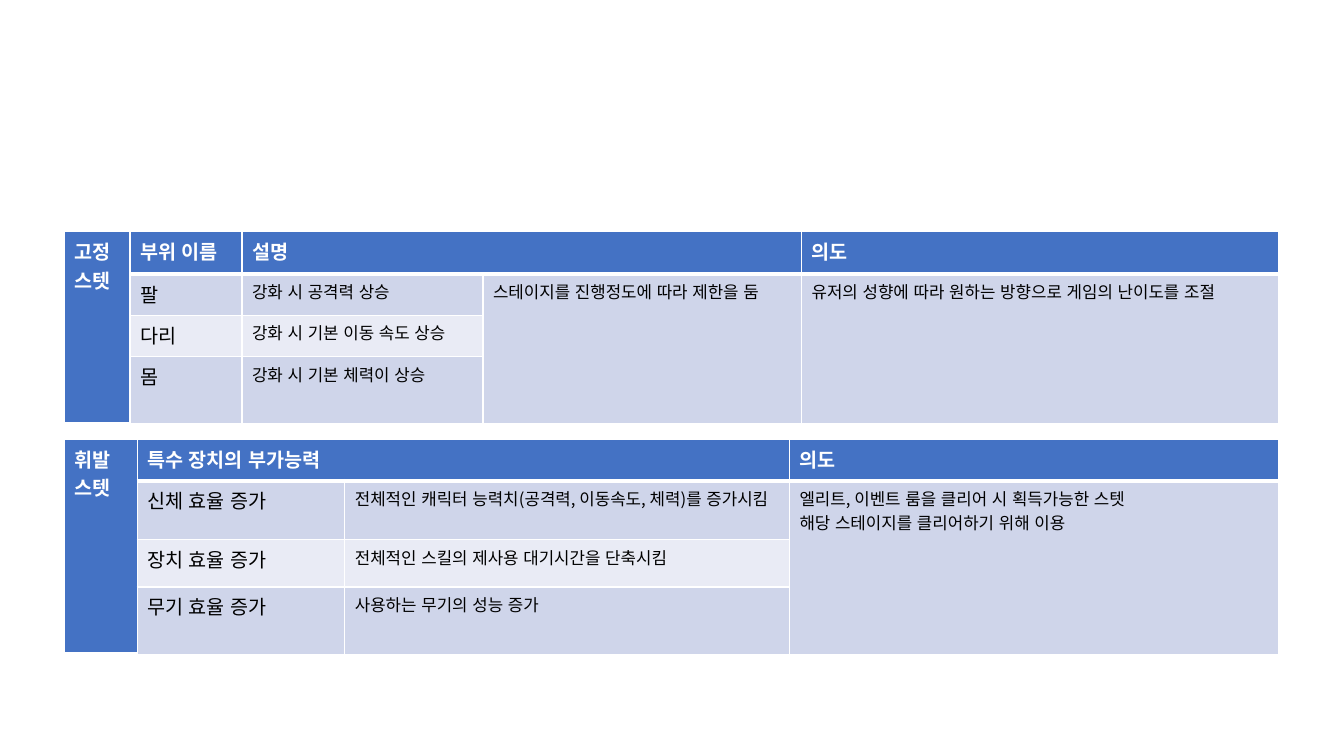
from lxml import etree
from pptx import Presentation, util as u
from pptx.dml.color import RGBColor
from pptx.oxml import ns

PX = 9144
FONT = "Noto Sans CJK KR"
WHITE = RGBColor(0xFF, 0xFF, 0xFF)
BLACK = RGBColor(0x00, 0x00, 0x00)
HEADER = RGBColor(0x44, 0x72, 0xC4)
BAND_DARK = RGBColor(0xCF, 0xD5, 0xEA)
BAND_LIGHT = RGBColor(0xE9, 0xEB, 0xF5)

FIXED_STATS = {
    "box": (64, 230, 1205, 163),
    "cols": [65, 111, 239, 316, 473],
    "rows": [42, 41, 41, 41],
    "merges": [(0, 0, 3, 0), (0, 2, 0, 3), (1, 3, 3, 3), (1, 4, 3, 4)],
    "cells": [
        ["고정\n스텟", "부위 이름", "설명", "", "의도"],
        ["", "팔", "강화 시 공격력 상승", "스테이지를 진행정도에 따라 제한을 둠",
         "유저의 성향에 따라 원하는 방향으로 게임의 난이도를 조절"],
        ["", "다리", "강화 시 기본 이동 속도 상승", "", ""],
        ["", "몸", "강화 시 기본 체력이 상승", "", ""],
    ],
}
VOLATILE_STATS = {
    "box": (64, 436, 1205, 171),
    "cols": [72, 206, 441, 485],
    "rows": [41, 41, 47, 14],
    "merges": [(0, 0, 3, 0), (0, 1, 0, 2), (1, 3, 3, 3)],
    "cells": [
        ["휘발\n스텟", "특수 장치의 부가능력", "", "의도"],
        ["", "신체 효율 증가",
         "전체적인 캐릭터 능력치(공격력, 이동속도, 체력)를 증가시킴",
         "엘리트, 이벤트 룸을 클리어 시 획득가능한 스텟\n"
         "해당 스테이지를 클리어하기 위해 이용"],
        ["", "장치 효율 증가", "전체적인 스킬의 제사용 대기시간을 단축시킴", ""],
        ["", "무기 효율 증가", "사용하는 무기의 성능 증가", ""],
    ],
}


def set_borders(cell, bottom):
    tcPr = cell._tc.get_or_add_tcPr()
    for side, width in (("L", 1), ("R", 1), ("T", 1), ("B", bottom)):
        ln = etree.SubElement(tcPr, ns.qn(f"a:ln{side}"), w=str(u.Pt(width)))
        fill = etree.SubElement(ln, ns.qn("a:solidFill"))
        etree.SubElement(fill, ns.qn("a:srgbClr"), val=str(WHITE))


def write_cell(cell, content, size, color, bold):
    tf = cell.text_frame
    for i, line in enumerate(content.split("\n")):
        p = tf.add_paragraph() if i else tf.paragraphs[0]
        r = p.add_run()
        r.text = line
        r.font.size = u.Pt(size)
        r.font.bold = bold
        r.font.name = FONT
        r.font.color.rgb = color
        rPr = r.font._element
        rPr.set("lang", "ko-KR")
        etree.SubElement(rPr, ns.qn("a:ea"), typeface=FONT)


def add_stat_table(s, box, cols, rows, merges, cells):
    frame = s.shapes.add_table(len(rows), len(cols), *(v * PX for v in box))
    table = frame.table
    for column, width in zip(table.columns, cols):
        column.width = width * PX
    for row, height in zip(table.rows, rows):
        row.height = height * PX
    for top, left, bottom, right in merges:
        table.cell(top, left).merge(table.cell(bottom, right))
    for i, line in enumerate(cells):
        for j, content in enumerate(line):
            cell = table.cell(i, j)
            header = i == 0 or j == 0
            set_borders(cell, 3 if i == 0 else 1)
            cell.fill.solid()
            band = BAND_DARK if i % 2 else BAND_LIGHT
            cell.fill.fore_color.rgb = HEADER if header else band
            if content:
                size = 14 if header or j == 1 else 12
                write_cell(cell, content, size, WHITE if header else BLACK, header)


def main():
    prs = Presentation()
    prs.slide_width = 1333 * PX
    prs.slide_height = 750 * PX
    s = prs.slides.add_slide(prs.slide_layouts[6])
    for stats in (VOLATILE_STATS, FIXED_STATS):
        add_stat_table(s, **stats)
    prs.save("out.pptx")


if __name__ == "__main__":
    main()
